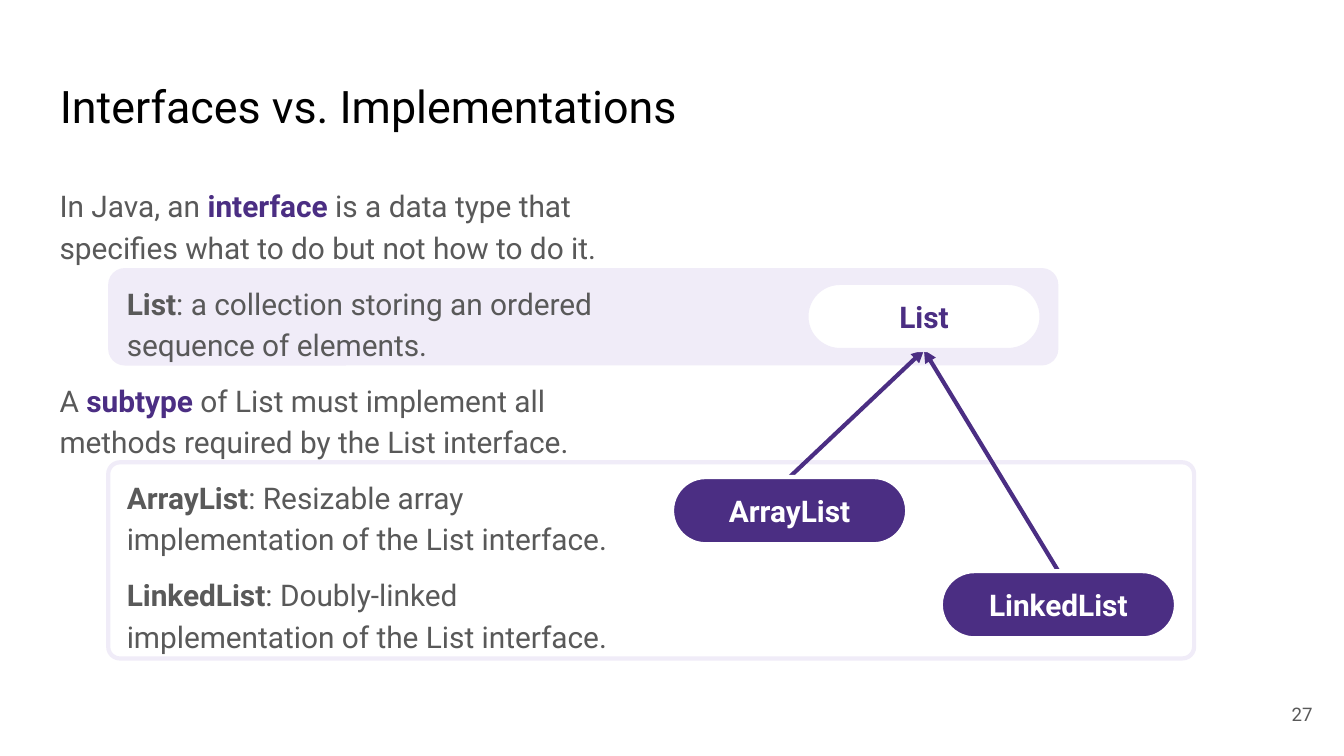
from dataclasses import dataclass

import pptx
import pptx.dml.color
import pptx.enum.shapes
import pptx.enum.text
import pptx.oxml
import pptx.oxml.ns
import pptx.util

PX = 4572
PAD = 20
FONT = "Roboto"
LINE = 2.25
HUES = {
    "black": "000000",
    "white": "FFFFFF",
    "gray": "595959",
    "plum": "4B2E83",
    "pale": "F0ECF8",
}
ALIGN = pptx.enum.text.PP_ALIGN
ANCHOR = pptx.enum.text.MSO_ANCHOR


@dataclass
class Box:
    left: int
    top: int
    width: int
    height: int
    fill: str
    line: str | None
    curve: float
    label: str = ""
    ink: str = "plum"


@dataclass
class Item:
    lead: str
    key: str
    rest: str
    ink: str = "gray"
    dent: int = 0


PANELS = [
    Box(161, 688, 1616, 292, "white", "pale", 0.06),
    Box(161, 399, 1414, 145, "pale", None, 0.17),
]
PILLS = [
    Box(1200, 421, 350, 100, "white", "pale", 0.5, "List"),
    Box(1000, 710, 350, 100, "plum", "white", 0.5, "ArrayList", "white"),
    Box(1400, 850, 350, 100, "plum", "white", 0.5, "LinkedList", "white"),
]
ITEMS = [
    Item("In Java, an ", "interface",
         " is a data type that specifies what to do but not how to do it.", "plum"),
    Item("", "List", ": a collection storing an ordered sequence of elements.", dent=100),
    Item("A ", "subtype",
         " of List must implement all methods required by the List interface.", "plum"),
    Item("", "ArrayList", ": Resizable array implementation of the List interface.", dent=100),
    Item("", "LinkedList", ": Doubly-linked implementation of the List interface.", dent=100),
]


def px(num: int) -> pptx.util.Emu:
    return pptx.util.Emu(num * PX)


def hue(name: str) -> pptx.dml.color.RGBColor:
    return pptx.dml.color.RGBColor.from_string(HUES[name])


def write(para, text: str, *, size: int = 16, ink: str = "gray",
          bold: bool = False, align=ALIGN.LEFT) -> None:
    para.alignment = align
    run = para.add_run()
    run.text = text
    run.font.name = FONT
    run.font.size = pptx.util.Pt(size)
    run.font.bold = bold
    run.font.color.rgb = hue(ink)


def frame(shape, anchor=ANCHOR.TOP):
    body = shape.text_frame
    body.word_wrap = True
    body.auto_size = pptx.enum.text.MSO_AUTO_SIZE.NONE
    body.vertical_anchor = anchor
    body.margin_left = body.margin_right = px(PAD)
    body.margin_top = body.margin_bottom = px(PAD)
    return body


def draw_box(slide, box: Box):
    shape = slide.shapes.add_shape(
        pptx.enum.shapes.MSO_SHAPE.ROUNDED_RECTANGLE,
        px(box.left), px(box.top), px(box.width), px(box.height))
    shape.adjustments[0] = box.curve
    shape.shadow.inherit = False
    shape.fill.solid()
    shape.fill.fore_color.rgb = hue(box.fill)
    if box.line:
        shape.line.color.rgb = hue(box.line)
        shape.line.width = pptx.util.Pt(LINE)
    else:
        shape.line.fill.background()
    if box.label:
        body = frame(shape, ANCHOR.MIDDLE)
        write(body.paragraphs[0], box.label, ink=box.ink, bold=True, align=ALIGN.CENTER)
    return shape


def draw_arrow(slide):
    arrow = slide.shapes.add_connector(
        pptx.enum.shapes.MSO_CONNECTOR.STRAIGHT, 0, 0, 0, 0)
    arrow.line.color.rgb = hue("plum")
    arrow.line.width = pptx.util.Pt(LINE)
    tip = pptx.oxml.ns.qn("a:tailEnd")
    arrow.line._get_or_add_ln().append(
        arrow._element.makeelement(tip, {"type": "triangle"}))
    arrow._element.spPr.append(
        arrow._element.makeelement(pptx.oxml.ns.qn("a:effectLst"), {}))
    return arrow


def draw_items(slide, items: list[Item]) -> None:
    shape = slide.shapes.add_textbox(px(69), px(252), px(864), px(748))
    body = frame(shape)
    for num, item in enumerate(items):
        para = body.add_paragraph() if num else body.paragraphs[0]
        para.line_spacing = 1.15
        para.space_before = pptx.util.Pt(8 if num else 0)
        props = para._p.get_or_add_pPr()
        props.set("marL", str(px(item.dent)))
        props.set("indent", "0")
        if item.lead:
            write(para, item.lead)
        write(para, item.key, ink=item.ink, bold=True)
        write(para, item.rest)


def main() -> None:
    deck = pptx.Presentation()
    deck.slide_width, deck.slide_height = px(2000), px(1125)
    slide = deck.slides.add_slide(deck.slide_layouts[5])

    title = slide.shapes.title
    title.left, title.top, title.width, title.height = px(69), px(97), px(1864), px(125)
    write(frame(title).paragraphs[0], "Interfaces vs. Implementations",
          size=24, ink="black")

    for panel in PANELS:
        draw_box(slide, panel)
    arrows = [draw_arrow(slide) for _ in PILLS[1:]]
    draw_items(slide, ITEMS)

    page = slide.shapes.add_textbox(px(1853), px(1020), px(120), px(86))
    write(frame(page, ANCHOR.MIDDLE).paragraphs[0], "27", size=10, align=ALIGN.RIGHT)

    root, *kids = [draw_box(slide, pill) for pill in PILLS]
    for arrow, kid in zip(arrows, kids):
        arrow.begin_connect(kid, 0)
        arrow.end_connect(root, 2)

    deck.save("out.pptx")


if __name__ == "__main__":
    main()
